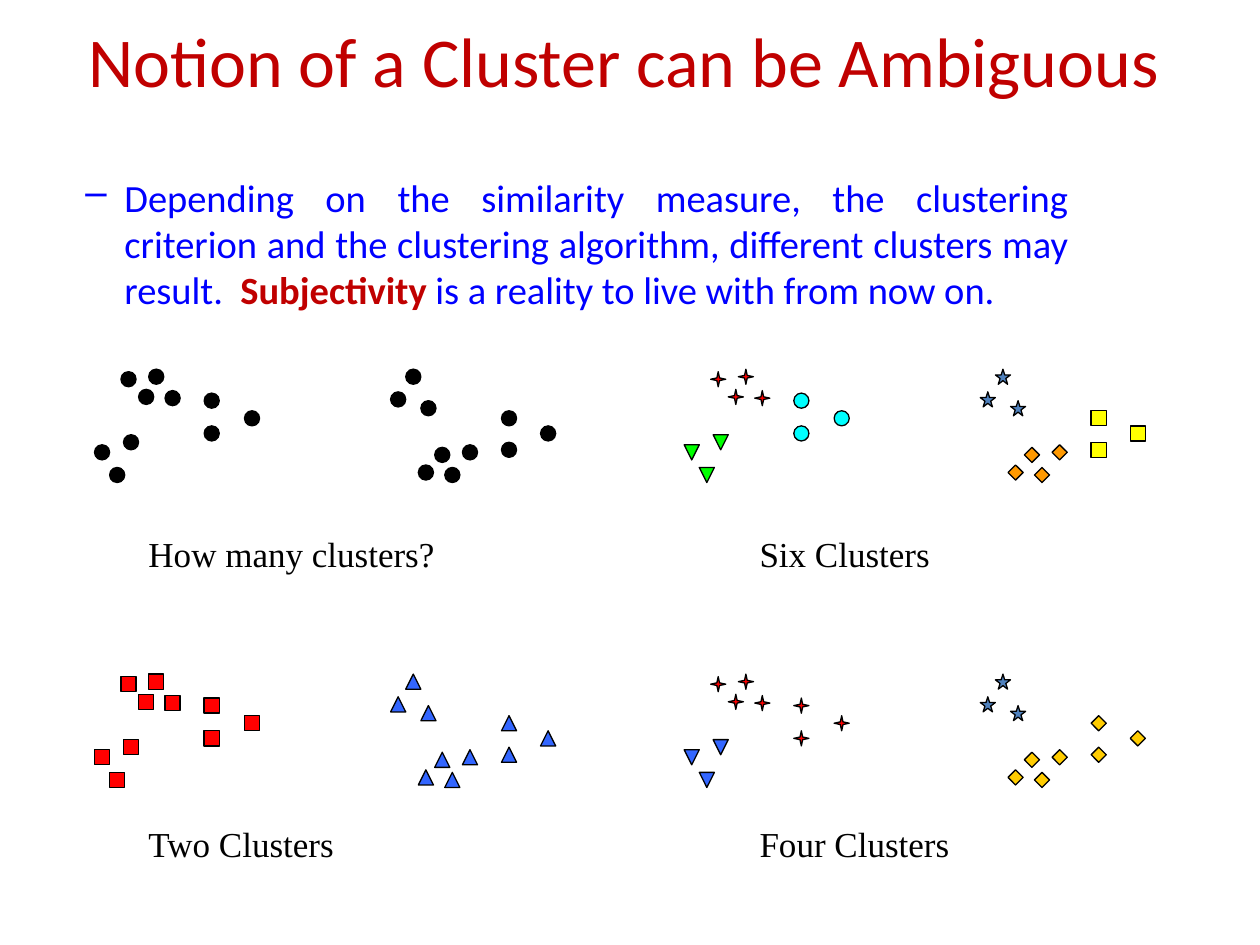
"""Build a slide showing how the same points can form different clusters."""
from typing import NamedTuple

from lxml.etree import SubElement
from pptx import Presentation
from pptx.dml.color import RGBColor
from pptx.enum.shapes import MSO_SHAPE as Preset
from pptx.enum.text import MSO_ANCHOR as Anchor, PP_ALIGN as Align
from pptx.oxml.ns import qn
from pptx.util import Inches, Pt

BLACK = RGBColor(0x00, 0x00, 0x00)
DARK_RED = RGBColor(0xC0, 0x00, 0x00)
RED = RGBColor(0xFF, 0x00, 0x00)
BLUE = RGBColor(0x00, 0x00, 0xFF)
ROYAL_BLUE = RGBColor(0x33, 0x66, 0xFF)
STEEL_BLUE = RGBColor(0x4F, 0x81, 0xBD)
CYAN = RGBColor(0x00, 0xFF, 0xFF)
GREEN = RGBColor(0x00, 0xFF, 0x00)
YELLOW = RGBColor(0xFF, 0xFF, 0x00)
GOLD = RGBColor(0xFF, 0xCC, 0x00)
ORANGE = RGBColor(0xFF, 0x99, 0x00)

MARKER_SIZE = 0.12
LEFT_COLUMN, RIGHT_COLUMN = 0.75, 5.43
TOP_ROW, BOTTOM_ROW = 2.93, 5.35
POINT_GROUPS = (
    ((0.56, 0.17), (0.21, 0.02), (0.43, 0.0), (0.35, 0.16)),
    ((0.23, 0.52), (0.0, 0.6), (0.12, 0.78)),
    ((0.87, 0.19), (1.19, 0.33), (0.87, 0.45)),
    ((2.92, 0.6), (2.57, 0.76), (2.78, 0.78), (2.7, 0.62)),
    ((2.59, 0.25), (2.35, 0.18), (2.47, 0.0)),
    ((3.23, 0.58), (3.54, 0.45), (3.23, 0.33)),
)


class Marker(NamedTuple):
    preset: Preset
    fill: RGBColor


class Panel(NamedTuple):
    caption: str
    left: float
    top: float
    caption_top: float
    markers: tuple[Marker, ...]


class Run(NamedTuple):
    text: str
    color: RGBColor
    bold: bool = False


DOT = Marker(Preset.OVAL, BLACK)
RED_SQUARE = Marker(Preset.RECTANGLE, RED)
BLUE_TRIANGLE = Marker(Preset.ISOSCELES_TRIANGLE, ROYAL_BLUE)
RED_SPARK = Marker(Preset.STAR_4_POINT, RED)
BLUE_STAR = Marker(Preset.STAR_5_POINT, STEEL_BLUE)
BLUE_MERGE = Marker(Preset.FLOWCHART_MERGE, ROYAL_BLUE)
GREEN_MERGE = Marker(Preset.FLOWCHART_MERGE, GREEN)
CYAN_DOT = Marker(Preset.OVAL, CYAN)
GOLD_DIAMOND = Marker(Preset.DIAMOND, GOLD)
ORANGE_DIAMOND = Marker(Preset.DIAMOND, ORANGE)
YELLOW_SQUARE = Marker(Preset.RECTANGLE, YELLOW)

PANELS = (
    Panel("How many clusters?", LEFT_COLUMN, TOP_ROW, 4.18, (DOT,) * 6),
    Panel("Six Clusters", RIGHT_COLUMN, TOP_ROW, 4.18,
          (RED_SPARK, GREEN_MERGE, CYAN_DOT, ORANGE_DIAMOND, BLUE_STAR, YELLOW_SQUARE)),
    Panel("Two Clusters", LEFT_COLUMN, BOTTOM_ROW, 6.48,
          (RED_SQUARE,) * 3 + (BLUE_TRIANGLE,) * 3),
    Panel("Four Clusters", RIGHT_COLUMN, BOTTOM_ROW, 6.48,
          (RED_SPARK, BLUE_MERGE, RED_SPARK, GOLD_DIAMOND, BLUE_STAR, GOLD_DIAMOND)),
)


def add_dash_bullet(paragraph, color: RGBColor) -> None:
    """Give the paragraph a hanging indent and a coloured dash."""
    properties = paragraph._p.get_or_add_pPr()
    properties.set("marL", str(Inches(0.81)))
    properties.set("indent", str(Inches(-0.31)))
    bullet_color = SubElement(properties, qn("a:buClr"))
    SubElement(bullet_color, qn("a:srgbClr"), val=str(color))
    SubElement(properties, qn("a:buChar"), char="–")


def add_text(slide, runs: list[Run], left: float, top: float, width: float, height: float, *,
             size: float, font: str, align: Align = Align.LEFT,
             anchor: Anchor = Anchor.TOP, bullet: RGBColor | None = None) -> None:
    """Add a text box holding one paragraph of formatted runs."""
    shape = slide.shapes.add_textbox(Inches(left), Inches(top), Inches(width), Inches(height))
    frame = shape.text_frame
    frame.word_wrap = True
    frame.vertical_anchor = anchor
    paragraph = frame.paragraphs[0]
    if bullet is not None:
        add_dash_bullet(paragraph, bullet)
    paragraph.alignment = align
    for item in runs:
        run = paragraph.add_run()
        run.text = item.text
        run.font.name = font
        run.font.size = Pt(size)
        run.font.bold = item.bold
        run.font.color.rgb = item.color


def add_marker(slide, marker: Marker, left: float, top: float) -> None:
    """Add one data point."""
    size = Inches(MARKER_SIZE)
    shape = slide.shapes.add_shape(marker.preset, Inches(left), Inches(top), size, size)
    shape.shadow.inherit = False
    shape.fill.solid()
    shape.fill.fore_color.rgb = marker.fill
    shape.line.color.rgb = BLACK
    shape.line.width = Pt(0.75)


def add_panel(slide, panel: Panel) -> None:
    """Add all points of a panel and its caption."""
    for marker, points in zip(panel.markers, POINT_GROUPS):
        for across, down in points:
            add_marker(slide, marker, panel.left + across, panel.top + down)
    add_text(slide, [Run(panel.caption, BLACK)], panel.left + 0.33 if panel.left == LEFT_COLUMN
             else panel.left + 0.5, panel.caption_top, 2.5, 0.44,
             size=20, font="Times New Roman")


def main() -> None:
    """Build and save the presentation."""
    presentation = Presentation()
    presentation.slide_width = Inches(10)
    presentation.slide_height = Inches(7.5)
    slide = presentation.slides.add_slide(presentation.slide_layouts[6])
    add_text(slide, [Run("Notion of a Cluster can be Ambiguous", DARK_RED)],
             0.42, 0.17, 9.06, 0.6, size=40, font="Calibri",
             align=Align.CENTER, anchor=Anchor.MIDDLE)
    for panel in PANELS:
        add_panel(slide, panel)
    add_text(slide, [
        Run("Depending on the similarity measure, the clustering criterion and the clustering "
            "algorithm, different clusters may result.  ", BLUE),
        Run("Subjectivity", DARK_RED, bold=True),
        Run(" is a reality to live with from now on.", BLUE),
    ], 0.08, 1.33, 8.5, 1.25, size=22, font="Calibri", align=Align.JUSTIFY, bullet=BLUE)
    presentation.save("out.pptx")


if __name__ == "__main__":
    main()
